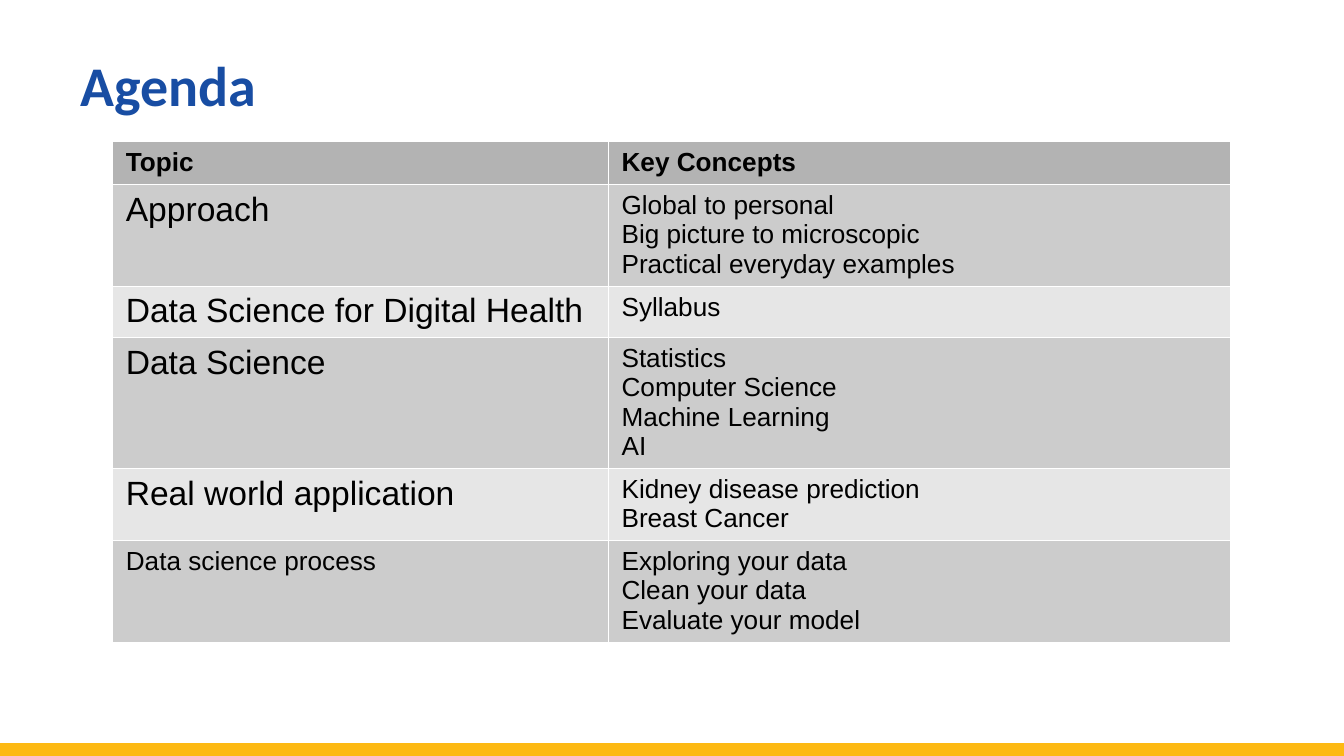
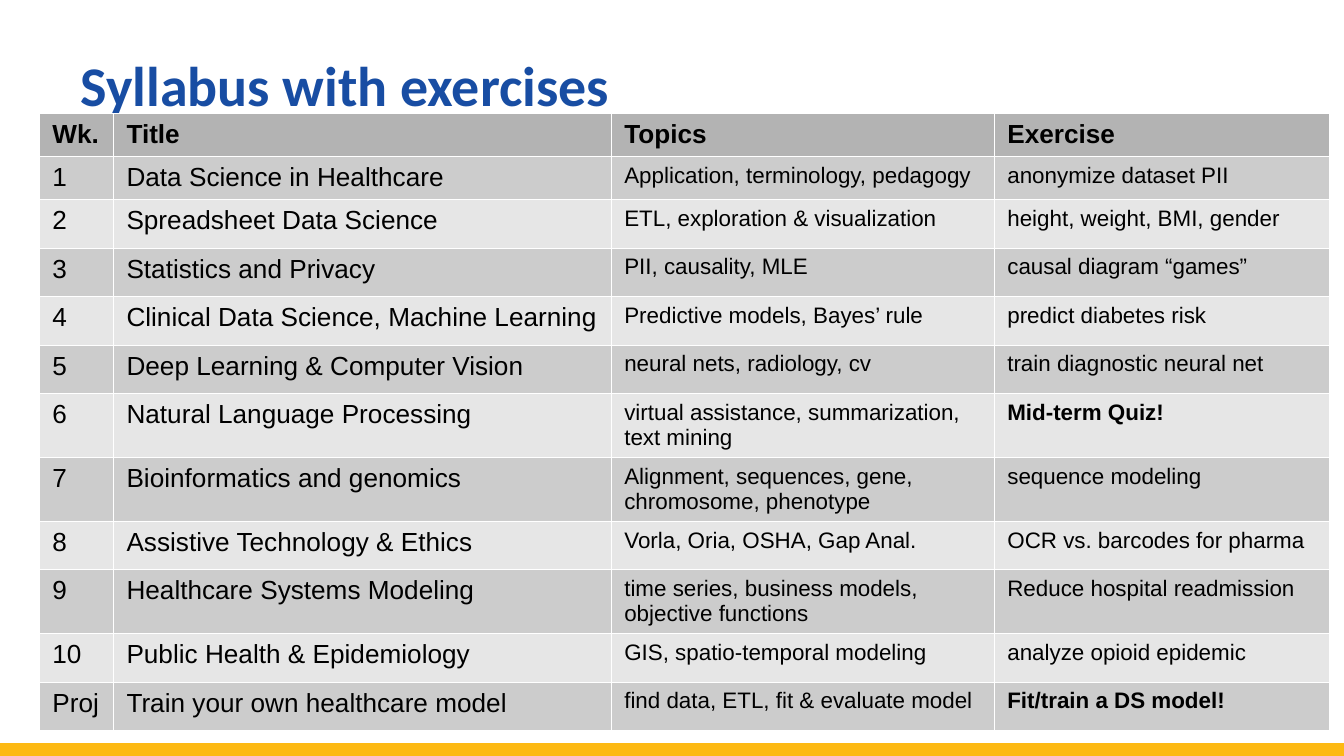
from dataclasses import dataclass

from lxml import etree
from pptx import Presentation
from pptx.dml.color import RGBColor
from pptx.enum import shapes, text
from pptx.oxml import ns
from pptx.util import Pt


@dataclass(frozen=True)
class Theme:
    title_font: str = "Calibri"
    body_font: str = "Arial"
    title_size: float = 30
    title_spacing: float = 58
    large: float = 18
    normal: float = 14
    small: float = 12
    title: str = "184DA3"
    band: str = "FDB913"
    ink: str = "000000"
    rule: str = "FFFFFF"
    header: str = "B3B3B3"
    stripes: tuple = ("E6E6E6", "CCCCCC")


theme = Theme()


def add_run(paragraph, words, font_name, size, color, bold):
    run = paragraph.add_run()
    run.text = words
    run.font.name = font_name
    run.font.size = Pt(size)
    run.font.bold = bold
    run.font.color.rgb = RGBColor.from_string(color)


def rule_cell(cell):
    properties = cell._tc.get_or_add_tcPr()
    for side in ("a:lnL", "a:lnR", "a:lnT", "a:lnB"):
        edge = etree.SubElement(properties, ns.qn(side), w=str(Pt(0.06)))
        fill = etree.SubElement(edge, ns.qn("a:solidFill"))
        etree.SubElement(fill, ns.qn("a:srgbClr"), val=theme.rule)


agenda = [
    ("Topic", "Key Concepts"),
    ("Approach", "Global to personal\nBig picture to microscopic\nPractical everyday examples"),
    ("Data Science for Digital Health", "Syllabus"),
    ("Data Science", "Statistics\nComputer Science\nMachine Learning\nAI"),
    ("Real world application", "Kidney disease prediction\nBreast Cancer"),
    ("Data science process", "Exploring your data\nClean your data\nEvaluate your model"),
]

syllabus = [
    ("Wk.", "Title", "Topics", "Exercise"),
    ("1", "Data Science in Healthcare", "Application, terminology, pedagogy", "anonymize dataset PII"),
    ("2", "Spreadsheet Data Science", "ETL, exploration & visualization", "height, weight, BMI, gender"),
    ("3", "Statistics and Privacy", "PII, causality, MLE", "causal diagram “games”"),
    ("4", "Clinical Data Science, Machine Learning", "Predictive models, Bayes’ rule", "predict diabetes risk"),
    ("5", "Deep Learning & Computer Vision", "neural nets, radiology, cv", "train diagnostic neural net"),
    ("6", "Natural Language Processing", "virtual assistance, summarization, text mining", "Mid-term Quiz!"),
    ("7", "Bioinformatics and genomics", "Alignment, sequences, gene, chromosome, phenotype", "sequence modeling"),
    ("8", "Assistive Technology & Ethics", "Vorla, Oria, OSHA, Gap Anal.", "OCR vs. barcodes for pharma"),
    ("9", "Healthcare Systems Modeling", "time series, business models, objective functions", "Reduce hospital readmission"),
    ("10", "Public Health & Epidemiology", "GIS, spatio-temporal modeling", "analyze opioid epidemic"),
    ("Proj", "Train your own healthcare model", "find data, ETL, fit & evaluate model", "Fit/train a DS model!"),
]

size_exceptions = {"Data science process": theme.normal}
highlights = {"Mid-term Quiz!", "Fit/train a DS model!"}
one_line, two_lines = 26, 34.2

pages = [
    dict(title="Agenda", rows=agenda, left=60.2, top=75.5,
         widths=(265.6, 333.2),
         heights=(23, 54.6, 27.3, 70.2, 38.6, 54.6),
         sizes=(theme.large, theme.normal)),
    dict(title="Syllabus with exercises", rows=syllabus, left=20.9, top=60.8,
         widths=(39.7, 266.7, 205.2, 179.4),
         heights=[22.8] * 2 + [one_line] * 4 + [two_lines] * 2
         + [one_line, two_lines] + [one_line] * 2,
         sizes=(theme.normal, theme.normal, theme.small, theme.small)),
]

prs = Presentation()
prs.slide_width, prs.slide_height = Pt(720), Pt(405)
layout = prs.slide_layouts[5]

for number, page in enumerate(pages):
    slide = prs.slides.add_slide(layout)

    if number == 0:
        band = slide.shapes.add_connector(
            shapes.MSO_CONNECTOR.STRAIGHT, Pt(0), Pt(401.8), Pt(720), Pt(401.8))
        band.line.color.rgb = RGBColor.from_string(theme.band)
        band.line.width = Pt(8)
        etree.SubElement(band.element.spPr, ns.qn("a:effectLst"))
        layout.placeholders[0].element.getparent().append(band.element)

    heading = slide.shapes.title
    heading.left, heading.top = Pt(36), Pt(0)
    heading.width, heading.height = Pt(648), Pt(94.5)
    frame = heading.text_frame
    frame.word_wrap = True
    frame.auto_size = text.MSO_AUTO_SIZE.NONE
    frame.vertical_anchor = text.MSO_ANCHOR.TOP
    frame.margin_top = Pt(5)
    line = frame.paragraphs[0]
    line.alignment = text.PP_ALIGN.LEFT
    line.line_spacing = Pt(theme.title_spacing)
    add_run(line, page["title"], theme.title_font, theme.title_size, theme.title, True)

    rows, widths, heights = page["rows"], page["widths"], page["heights"]
    schedule = slide.shapes.add_table(
        len(rows), len(widths), Pt(page["left"]), Pt(page["top"]),
        Pt(sum(widths)), Pt(sum(heights))).table
    schedule.horz_banding = False
    for column, width in zip(schedule.columns, widths):
        column.width = Pt(width)

    for r, entries in enumerate(rows):
        schedule.rows[r].height = Pt(heights[r])
        is_header = r == 0
        shade = theme.header if is_header else theme.stripes[r % 2]
        for c, entry in enumerate(entries):
            cell = schedule.cell(r, c)
            rule_cell(cell)
            cell.fill.solid()
            cell.fill.fore_color.rgb = RGBColor.from_string(shade)
            size = theme.normal if is_header else size_exceptions.get(entry, page["sizes"][c])
            for i, words in enumerate(entry.split("\n")):
                lines = cell.text_frame
                paragraph = lines.add_paragraph() if i else lines.paragraphs[0]
                add_run(paragraph, words, theme.body_font, size, theme.ink,
                        is_header or entry in highlights)

prs.save("out.pptx")
